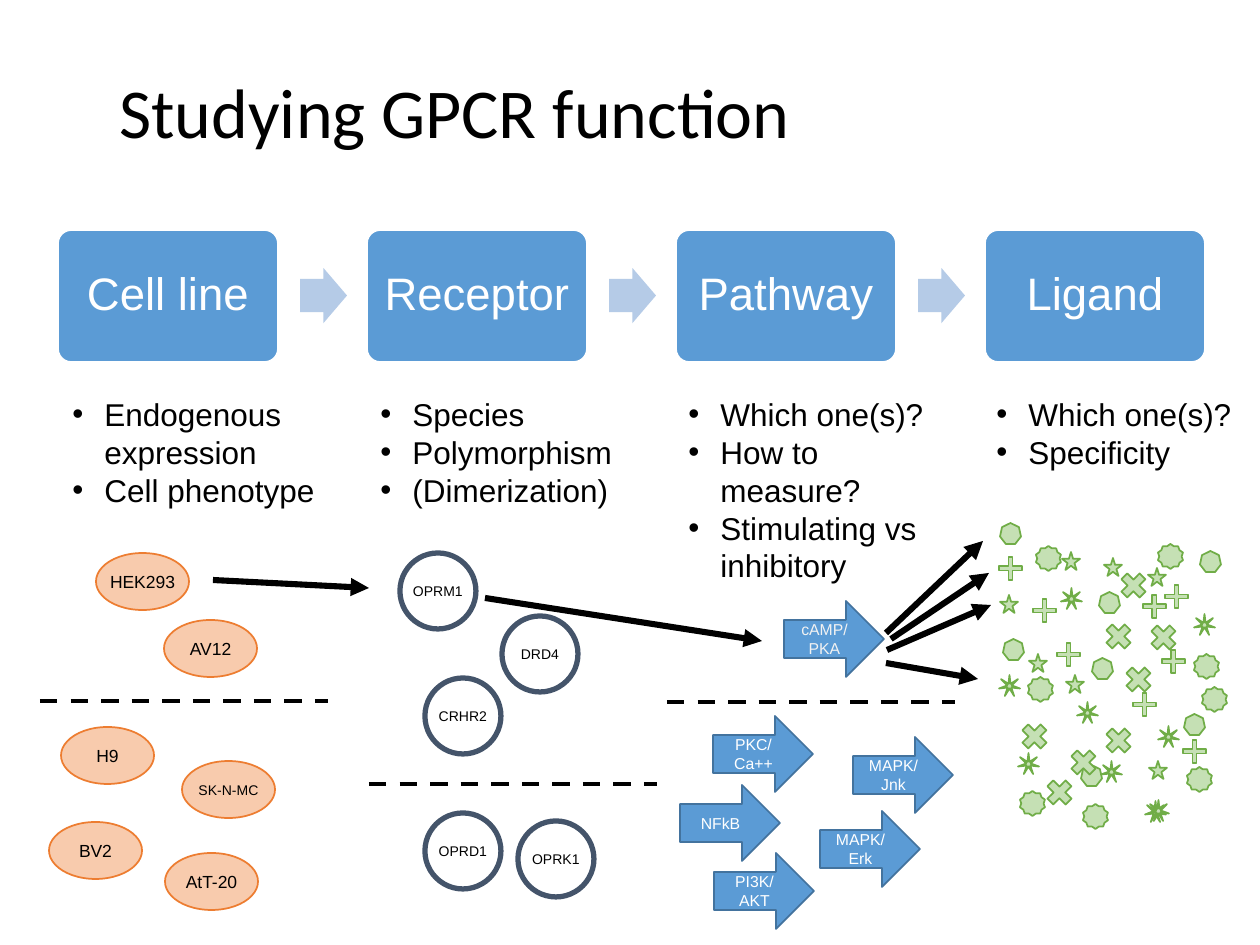
"""Build a slide on the choices made when studying GPCR function."""
from lxml.etree import SubElement
from pptx import Presentation
from pptx.dml.color import RGBColor
from pptx.enum.dml import MSO_LINE
from pptx.enum.shapes import MSO_CONNECTOR, MSO_SHAPE
from pptx.enum.text import MSO_ANCHOR, MSO_AUTO_SIZE, PP_ALIGN
from pptx.oxml.ns import qn
from pptx.util import Pt

EMU_PER_PX = 914400 / 126

BLACK = RGBColor(0x00, 0x00, 0x00)
WHITE = RGBColor(0xFF, 0xFF, 0xFF)
PALE_GREY = RGBColor(0xF2, 0xF2, 0xF2)
BLUE = RGBColor(0x5B, 0x9B, 0xD5)
LIGHT_BLUE = RGBColor(0xB5, 0xCB, 0xE7)
DARK_BLUE = RGBColor(0x43, 0x73, 0x9E)
SLATE = RGBColor(0x44, 0x54, 0x6A)
PEACH = RGBColor(0xF8, 0xCB, 0xAD)
ORANGE = RGBColor(0xED, 0x7D, 0x31)
LIGHT_GREEN = RGBColor(0xC5, 0xE0, 0xB4)
GREEN = RGBColor(0x70, 0xAD, 0x47)

NO_INSETS = {f"margin_{side}": 0 for side in ("left", "top", "right", "bottom")}

STEPS = [
    ("Cell line", ["Endogenous expression", "Cell phenotype"], 165),
    ("Receptor", ["Species", "Polymorphism", "(Dimerization)"], 165),
    ("Pathway", ["Which one(s)?", "How to measure?", "Stimulating vs inhibitory"], 204),
    ("Ligand", ["Which one(s)?", "Specificity"], 89),
]
CELL_LINES = [
    ("HEK293", 96, 553, 10), ("AV12", 164, 620, 10), ("H9", 61, 727, 10),
    ("SK-N-MC", 182, 761, 8), ("BV2", 49, 822, 10), ("AtT-20", 165, 853, 10),
]
RECEPTORS = [
    ("OPRM1", 400, 553), ("DRD4", 502, 616), ("CRHR2", 425, 678),
    ("OPRK1", 518, 821), ("OPRD1", 425, 813),
]
PATHWAYS = [
    ("cAMP/PKA", 784, 601, PALE_GREY), ("PKC/ Ca++", 713, 716, WHITE),
    ("MAPK/Erk", 820, 811, WHITE), ("NFkB", 680, 785, WHITE),
    ("MAPK/Jnk", 853, 737, WHITE), ("PI3K/ AKT", 714, 853, WHITE),
]
LIGANDS = [
    (MSO_SHAPE.STAR_5_POINT, 18, None,
     [(1000, 595), (1029, 654), (1066, 675), (1062, 552), (1104, 558),
      (1148, 568), (1149, 761)]),
    (MSO_SHAPE.CROSS, 23, 0.41,
     [(999, 557), (1165, 585), (1033, 599), (1057, 643), (1162, 650),
      (1133, 693), (1143, 595), (1183, 740)]),
    (MSO_SHAPE.HEPTAGON, 21, None,
     [(1099, 592), (1092, 658), (1081, 765), (1003, 639), (1184, 714),
      (1200, 551), (1000, 523)]),
    (MSO_SHAPE.MATH_MULTIPLY, 35, None,
     [(1017, 719), (1116, 568), (1042, 775), (1101, 619), (1066, 745),
      (1121, 662), (1146, 620), (1101, 723)]),
    (MSO_SHAPE.STAR_10_POINT, 25, None,
     [(1036, 546), (1187, 767), (1028, 677), (1158, 544), (1083, 804),
      (1020, 791), (1194, 654), (1202, 687)]),
    (MSO_SHAPE.STAR_7_POINT, 21, 0.11,
     [(999, 675), (1018, 753), (1194, 614), (1077, 702), (1158, 726),
      (1101, 761), (1145, 801), (1148, 800), (1061, 588)]),
]
DIVIDERS = [(40, 701), (369, 784), (667, 702)]
CHOICES = [
    (213, 580, 369, 588), (485, 598, 762, 641), (886, 633, 983, 541),
    (891, 639, 989, 573), (887, 650, 991, 605), (886, 663, 978, 679),
]


def px(*lengths):
    """Turn pixel lengths into EMU."""
    return [round(length * EMU_PER_PX) for length in lengths]


def apply_format(target, values):
    """Set each named attribute on the target."""
    for name, value in values.items():
        setattr(target, name, value)


def write(paragraph, text, size, colour=BLACK, font="Arial", **layout):
    """Put one formatted run into a paragraph."""
    run = paragraph.add_run()
    run.text = text
    apply_format(run.font, {"size": Pt(size), "name": font})
    run.font.color.rgb = colour
    apply_format(paragraph, layout)


def add_figure(slide, preset, box, fill=None, outline=None, weight=1, adjustment=None):
    """Add a preset shape with a flat fill and outline."""
    figure = slide.shapes.add_shape(preset, *px(*box))
    figure.shadow.inherit = False
    for part, colour in ((figure.fill, fill), (figure.line.fill, outline)):
        if colour is None:
            part.background()
        else:
            part.solid()
            part.fore_color.rgb = colour
    if outline is not None:
        figure.line.width = Pt(weight)
    if adjustment is not None:
        figure.adjustments[0] = adjustment
    return figure


def add_label(figure, text, size, colour=BLACK, insets=NO_INSETS, **layout):
    """Centre a label in a shape."""
    frame = figure.text_frame
    apply_format(frame, {"word_wrap": True, "vertical_anchor": MSO_ANCHOR.MIDDLE, **insets})
    write(frame.paragraphs[0], text, size, colour, alignment=PP_ALIGN.CENTER, **layout)


def add_text_box(slide, box, **values):
    """Add a wrapping text box and return its frame."""
    frame = slide.shapes.add_textbox(*px(*box)).text_frame
    apply_format(frame, {"word_wrap": True, **values})
    return frame


def add_bullets(slide, box, questions):
    """Add a bulleted list."""
    frame = add_text_box(slide, box, auto_size=MSO_AUTO_SIZE.SHAPE_TO_FIT_TEXT)
    hanging = px(32)[0]
    for index, question in enumerate(questions):
        paragraph = frame.add_paragraph() if index else frame.paragraphs[0]
        write(paragraph, question, 18)
        properties = paragraph._p.get_or_add_pPr()
        properties.set("marL", str(hanging))
        properties.set("indent", str(-hanging))
        SubElement(properties, qn("a:buFont"), typeface="Arial")
        SubElement(properties, qn("a:buChar"), char="•")


def add_line(slide, ends, weight, head=False, **values):
    """Add a straight black line, with an arrowhead if asked."""
    connector = slide.shapes.add_connector(MSO_CONNECTOR.STRAIGHT, *px(*ends))
    connector.line.color.rgb = BLACK
    apply_format(connector.line, {"width": Pt(weight), **values})
    properties = connector._element.spPr
    if head:
        SubElement(properties.find(qn("a:ln")), qn("a:tailEnd"), type="triangle")
    SubElement(properties, qn("a:effectLst"))


def add_process(slide):
    """Add the four steps, the arrows between them and their questions."""
    for index, (step, questions, height) in enumerate(STEPS):
        left = 58 + 309 * index
        block = add_figure(slide, MSO_SHAPE.ROUNDED_RECTANGLE, (left, 230, 220, 132),
                           BLUE, WHITE, adjustment=0.1)
        add_label(block, step, 26, WHITE, line_spacing=0.9)
        if index < len(STEPS) - 1:
            arrow = add_figure(slide, MSO_SHAPE.RIGHT_ARROW, (left + 242, 268, 47, 55),
                               LIGHT_BLUE, adjustment=0.6)
            arrow.adjustments[1] = 0.5
        add_bullets(slide, (60 + 308 * index, 389, 267, height), questions)


def main():
    """Build and save the slide."""
    deck = Presentation()
    deck.slide_width, deck.slide_height = px(1260, 945)
    slide = deck.slides.add_slide(deck.slide_layouts[6])

    title = add_text_box(slide, (107, 72, 1086, 183))
    write(title.paragraphs[0], "Studying GPCR function", 40, font="Calibri", line_spacing=0.9)
    add_process(slide)

    for name, left, top, size in CELL_LINES:
        cell = add_figure(slide, MSO_SHAPE.OVAL, (left, top, 93, 57), PEACH, ORANGE)
        add_label(cell, name, size)
    for name, left, top in RECEPTORS:
        receptor = add_figure(slide, MSO_SHAPE.OVAL, (left, top, 76, 76), None, SLATE, 3)
        add_label(receptor, name, 8)
    for name, left, top, colour in PATHWAYS:
        pathway = add_figure(slide, MSO_SHAPE.RIGHT_ARROW, (left, top, 100, 76), BLUE, DARK_BLUE)
        add_label(pathway, name, 9, colour, insets={})
    for preset, size, adjustment, places in LIGANDS:
        for left, top in places:
            add_figure(slide, preset, (left, top, size, size), LIGHT_GREEN, GREEN,
                       adjustment=adjustment)

    for left, top in DIVIDERS:
        add_line(slide, (left, top, left + 288, top), 2.5, dash_style=MSO_LINE.DASH)
    for ends in CHOICES:
        add_line(slide, ends, 3.5, head=True)
    deck.save("out.pptx")


if __name__ == "__main__":
    main()
